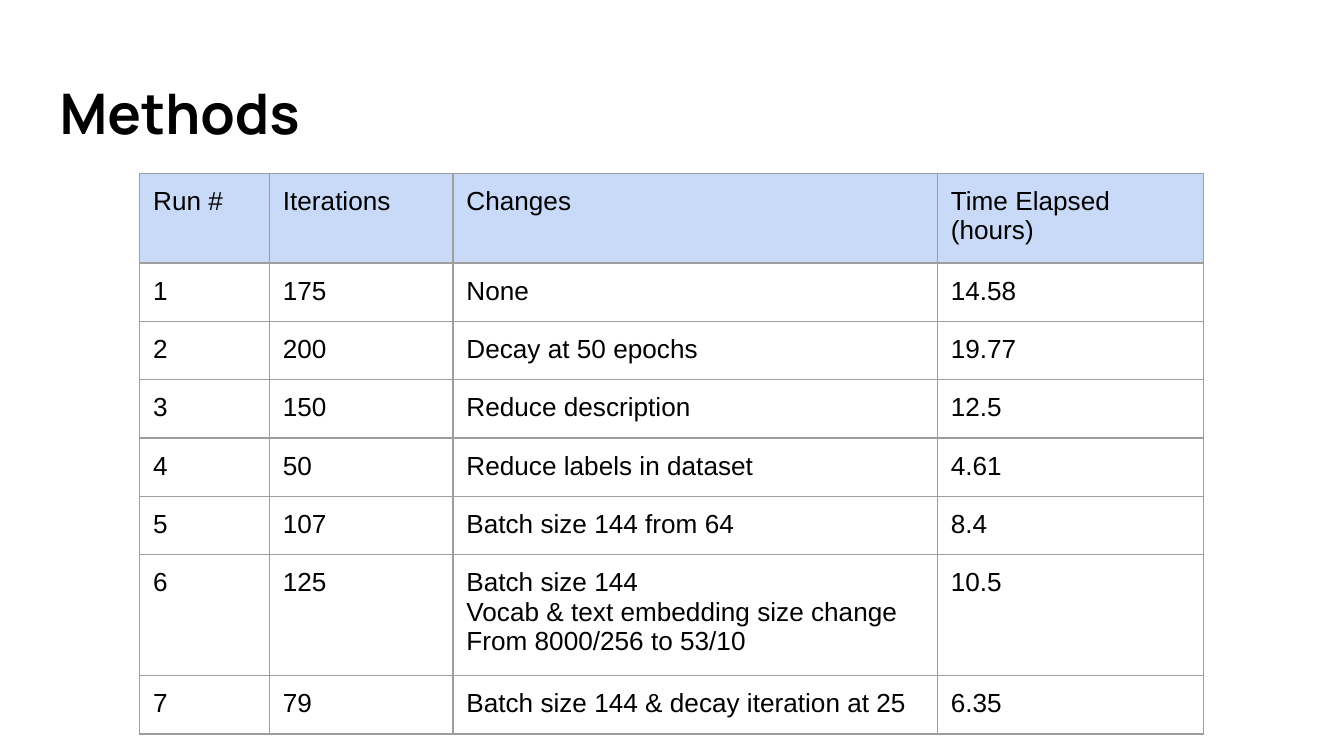
from lxml import etree
from pptx import Presentation
from pptx import util as u
from pptx.dml.color import RGBColor
from pptx.enum import text
from pptx.oxml.ns import qn

PX = 4572  # EMU per px, 200 px to the inch
COLOURS = {"ink": "000000", "header": "C9DAF8", "border": "9E9E9E"}
INSET = 20 * PX

runs = [
    ("Run #", "Iterations", "Changes", "Time Elapsed (hours)"),
    ("1", "175", "None", "14.58"),
    ("2", "200", "Decay at 50 epochs", "19.77"),
    ("3", "150", "Reduce description", "12.5"),
    ("4", "50", "Reduce labels in dataset", "4.61"),
    ("5", "107", "Batch size 144 from 64", "8.4"),
    ("6", "125", "Batch size 144\nVocab & text embedding size change\nFrom 8000/256 to 53/10", "10.5"),
    ("7", "79", "Batch size 144 & decay iteration at 25", "6.35"),
]
column_widths = [193, 273, 721, 396]
row_heights = [108] + [83] * 7


def style_text(holder, paragraphs, font_name, size, bold=False):
    """Set the insets of a cell or text frame and the font of its paragraphs."""
    holder.margin_left = holder.margin_right = INSET
    holder.margin_top = holder.margin_bottom = INSET
    for paragraph in paragraphs:
        paragraph.font.name = font_name
        paragraph.font.size = u.Pt(size)
        paragraph.font.bold = bold
        paragraph.font.color.rgb = RGBColor.from_string(COLOURS["ink"])


def add_borders(cell):
    properties = cell._tc.get_or_add_tcPr()
    for side in ("lnL", "lnR", "lnT", "lnB"):
        line = etree.SubElement(properties, qn(f"a:{side}"), w=str(u.Pt(0.75)))
        fill = etree.SubElement(line, qn("a:solidFill"))
        etree.SubElement(fill, qn("a:srgbClr"), val=COLOURS["border"])


deck = Presentation()
deck.slide_width, deck.slide_height = 2000 * PX, 1125 * PX
slide = deck.slides.add_slide(deck.slide_layouts[6])

title = slide.shapes.add_textbox(69 * PX, 99 * PX, 1864 * PX, 136 * PX).text_frame
title.text = "Methods"
title.word_wrap = True
title.vertical_anchor = text.MSO_ANCHOR.MIDDLE
style_text(title, title.paragraphs, "Manrope", 30, bold=True)

methods_frame = slide.shapes.add_table(
    len(runs), len(column_widths), 208 * PX, 258 * PX, 656 * PX, 656 * PX
)
methods = methods_frame.table
methods.first_row = methods.horz_banding = False
for column, width in zip(methods.columns, column_widths):
    column.width = width * PX
for row, height in zip(methods.rows, row_heights):
    row.height = height * PX
# The rows grow to fit their text, so the frame stays smaller than their sum
methods_frame.width = methods_frame.height = 656 * PX

for row_number, (row, entries) in enumerate(zip(methods.rows, runs)):
    for cell, entry in zip(row.cells, entries):
        cell.text = entry
        style_text(cell, cell.text_frame.paragraphs, "Arial", 14)
        add_borders(cell)
        if row_number == 0:
            cell.fill.solid()
            cell.fill.fore_color.rgb = RGBColor.from_string(COLOURS["header"])
        else:
            cell.fill.background()

deck.save("out.pptx")
